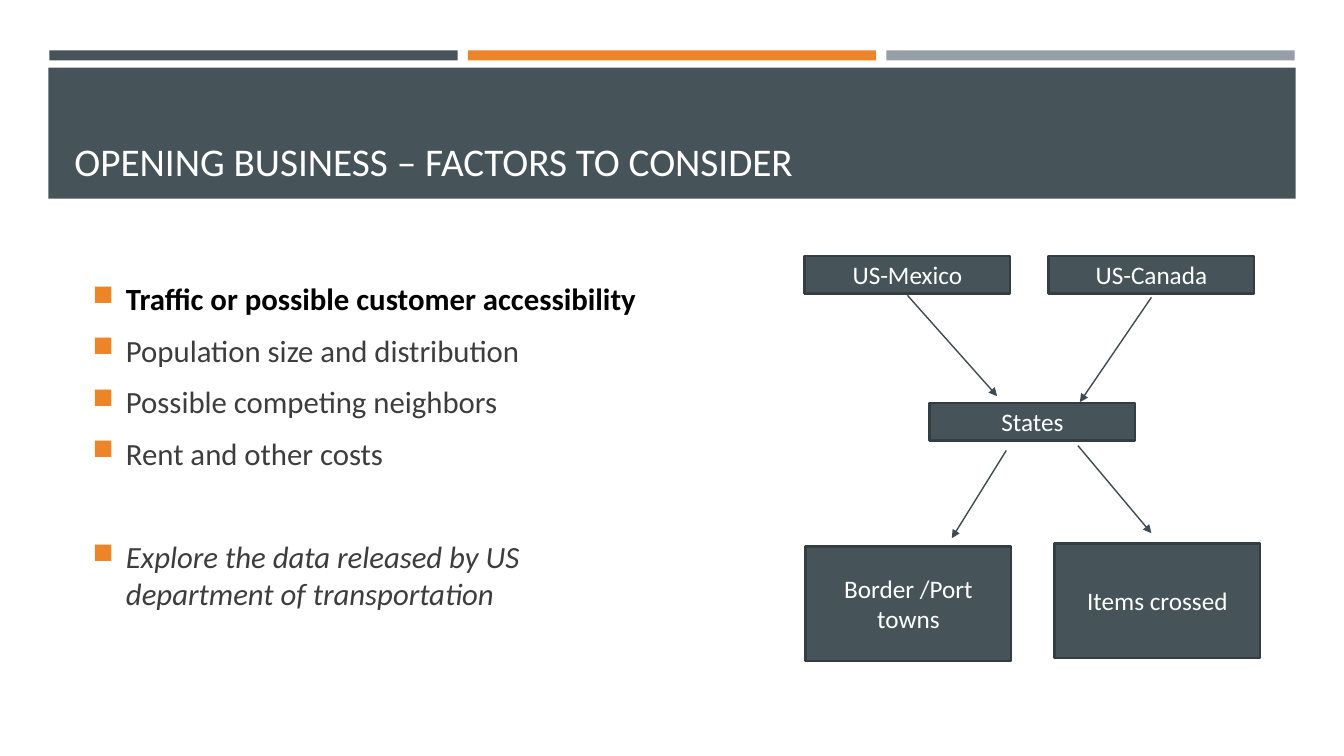
import pptx
import pptx.util
import pptx.dml.color
import pptx.enum.shapes
import pptx.enum.text
import pptx.oxml
import pptx.oxml.ns

Inches, Pt = pptx.util.Inches, pptx.util.Pt
ALIGN, ANCHOR = pptx.enum.text.PP_ALIGN, pptx.enum.text.MSO_ANCHOR
SLATE, ORANGE, GREY = "465359", "ED8428", "969FA7"
BOX_EDGE, ARROW, BODY, BLACK, WHITE = "343D42", "3F4B50", "3D3D3D", "000000", "FFFFFF"


def color(value):
    return pptx.dml.color.RGBColor.from_string(value)


def add_xml(parent, tag, **attributes):
    element = pptx.oxml.parse_xml(f"<{tag} {pptx.oxml.ns.nsdecls('a')}/>")
    for key, value in attributes.items():
        element.set(key, value)
    parent.append(element)
    return element


def style_font(paragraph, size, hue, bold=False, italic=False):
    font = paragraph.font
    font.name, font.size, font.bold, font.italic = "Calibri", Pt(size), bold, italic
    font.color.rgb = color(hue)


def add_rect(slide, left, top, width, height, fill, edge=None):
    rect = slide.shapes.add_shape(pptx.enum.shapes.MSO_SHAPE.RECTANGLE, Inches(left),
                                  Inches(top), Inches(width), Inches(height))
    rect.shadow.inherit = False
    rect.fill.solid()
    rect.fill.fore_color.rgb = color(fill)
    if edge:
        rect.line.color.rgb = color(edge)
        rect.line.width = Pt(1.75)
    else:
        rect.line.fill.background()
    return rect


def add_text_frame(slide, left, top, width, height, anchor):
    frame = slide.shapes.add_textbox(Inches(left), Inches(top), Inches(width),
                                     Inches(height)).text_frame
    frame.word_wrap = True
    frame.vertical_anchor = anchor
    return frame


def add_header(slide, left, top, width, title):
    # Three accent bars
    bar_width, gap = 4.05, 0.1
    for i, fill in enumerate((SLATE, ORANGE, GREY)):
        add_rect(slide, left + 0.01 + i * (bar_width + gap), top, bar_width, 0.1, fill)
    # Title band
    add_rect(slide, left, top + 0.17, width, 1.3, SLATE)
    frame = add_text_frame(slide, left + 0.16, top + 0.27, width - 0.31, 1.11, ANCHOR.BOTTOM)
    frame.text = title
    style_font(frame.paragraphs[0], 28, WHITE)


def add_factors(slide, left, top, width, height, factors):
    frame = add_text_frame(slide, left, top, width, height, ANCHOR.TOP)
    frame.margin_left = frame.margin_right = frame.margin_top = frame.margin_bottom = 0
    for i, (factor, space_before, look) in enumerate(factors):
        paragraph = frame.paragraphs[0] if i == 0 else frame.add_paragraph()
        paragraph.text = factor
        paragraph.space_before, paragraph.space_after = Pt(space_before), Pt(6)
        style_font(paragraph, 22, **look)
        # Square orange bullet with a hanging indent
        properties = paragraph._p.get_or_add_pPr()
        properties.set("marL", str(Inches(0.33)))
        properties.set("indent", str(-Inches(0.33)))
        add_xml(add_xml(properties, "a:buClr"), "a:srgbClr", val=ORANGE)
        add_xml(properties, "a:buSzPct", val="92000")
        add_xml(properties, "a:buChar", char="■")


def add_arrow(slide, x1, y1, x2, y2):
    arrow = slide.shapes.add_connector(pptx.enum.shapes.MSO_CONNECTOR.STRAIGHT, Inches(x1),
                                       Inches(y1), Inches(x2), Inches(y2))
    arrow.line.color.rgb = color(ARROW)
    arrow.line.width = Pt(1)
    add_xml(arrow.line._get_or_add_ln(), "a:tailEnd", type="triangle")
    add_xml(arrow._element.spPr, "a:effectLst")


def add_border_diagram(slide, left, top):
    box_width, low, tall = 2.04, 0.37, 1.14
    boxes = [("US-Mexico", 0, 0, low), ("US-Canada", 2.42, 0, low),
             ("States", 1.24, 1.46, low),
             ("Border /Port towns", 0.01, 2.88, tall), ("Items crossed", 2.48, 2.85, tall)]
    for label, x, y, height in boxes:
        box = add_rect(slide, left + x, top + y, box_width, height, SLATE, BOX_EDGE)
        frame = box.text_frame
        frame.word_wrap = True
        frame.vertical_anchor = ANCHOR.MIDDLE
        frame.text = label
        frame.paragraphs[0].alignment = ALIGN.CENTER
        style_font(frame.paragraphs[0], 18, WHITE)
    # Borders lead to states, states lead to towns and items
    for x1, y1, x2, y2 in [(1.02, 0.39, 1.91, 1.39), (3.44, 0.41, 2.73, 1.45),
                           (2, 1.93, 1.46, 2.8), (2.71, 1.88, 3.44, 2.75)]:
        add_arrow(slide, left + x1, top + y1, left + x2, top + y2)


def main():
    deck = pptx.Presentation()
    deck.slide_width, deck.slide_height = Inches(13.33), Inches(7.5)
    slide = deck.slides.add_slide(deck.slide_layouts[6])
    add_header(slide, 0.48, 0.5, 12.37, "OPENING BUSINESS – FACTORS TO CONSIDER")
    plain = {"hue": BODY}
    add_factors(slide, 0.92, 2.78, 5.5, 3.5, [
        ("Traffic or possible customer accessibility", 0, {"hue": BLACK, "bold": True}),
        ("Population size and distribution", 4.4, plain),
        ("Possible competing neighbors", 4.4, plain),
        ("Rent and other costs", 4.4, plain),
        ("Explore the data released by US department of transportation", 41.5,
         {"hue": BODY, "italic": True}),
    ])
    add_border_diagram(slide, 7.98, 2.54)
    deck.save("out.pptx")


if __name__ == "__main__":
    main()
